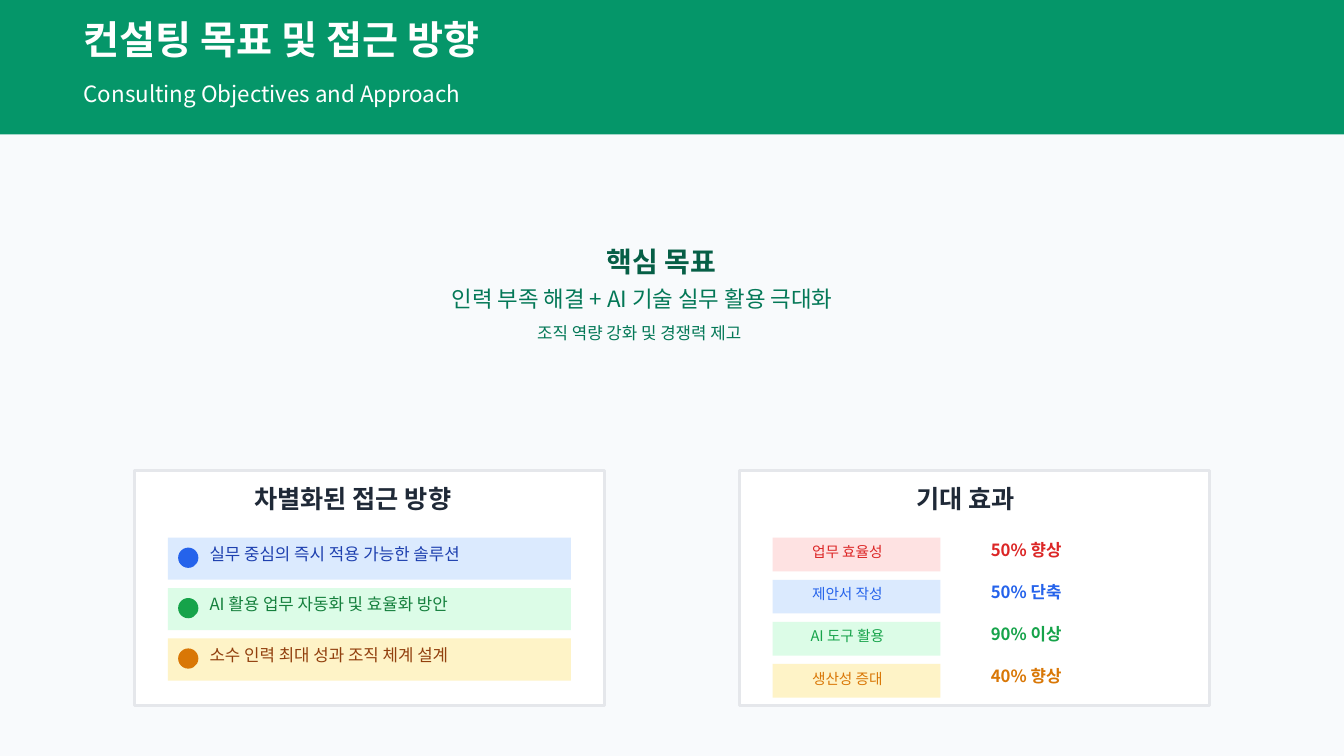
from dataclasses import dataclass

from lxml.etree import SubElement
from pptx import Presentation
from pptx.dml.color import RGBColor
from pptx.enum.shapes import MSO_SHAPE
from pptx.enum.text import MSO_ANCHOR, MSO_AUTO_SIZE, PP_ALIGN
from pptx.oxml.ns import qn
from pptx.util import Cm, Pt


@dataclass(frozen=True)
class Theme:
    font: str = "Noto Sans CJK KR"
    page: str = "F8FAFC"
    header: str = "059669"
    white: str = "FFFFFF"
    border: str = "E5E7EB"
    heading: str = "1F2937"
    goal: str = "065F46"
    goal_detail: str = "047857"
    red: str = "DC2626"
    blue: str = "2563EB"
    green: str = "16A34A"
    amber: str = "D97706"
    pale_red: str = "FEE2E2"
    pale_blue: str = "DBEAFE"
    pale_green: str = "DCFCE7"
    pale_amber: str = "FEF3C7"
    dark_blue: str = "1E40AF"
    dark_green: str = "15803D"
    dark_amber: str = "92400E"
    title_size: float = 28
    goal_size: float = 20
    heading_size: float = 18
    lead_size: float = 16
    body_size: float = 12
    label_size: float = 10.5


THEME = Theme()

APPROACHES = [
    ("실무 중심의 즉시 적용 가능한 솔루션", THEME.pale_blue, THEME.blue, THEME.dark_blue),
    ("AI 활용 업무 자동화 및 효율화 방안", THEME.pale_green, THEME.green, THEME.dark_green),
    ("소수 인력 최대 성과 조직 체계 설계", THEME.pale_amber, THEME.amber, THEME.dark_amber),
]
EFFECTS = [
    ("업무 효율성", "50% 향상", THEME.pale_red, THEME.red),
    ("제안서 작성", "50% 단축", THEME.pale_blue, THEME.blue),
    ("AI 도구 활용", "90% 이상", THEME.pale_green, THEME.green),
    ("생산성 증대", "40% 향상", THEME.pale_amber, THEME.amber),
]


def apply_format(target, values):
    for attribute, value in values.items():
        setattr(target, attribute, value)


def write(holder, lines, size, bold=False, gap=0, align=PP_ALIGN.LEFT, **frame_format):
    frame = holder.text_frame
    apply_format(frame, {
        "word_wrap": True, "auto_size": MSO_AUTO_SIZE.NONE,
        "vertical_anchor": MSO_ANCHOR.TOP,
        "margin_left": 0, "margin_top": Cm(0.13), "margin_right": 0, "margin_bottom": 0,
        **frame_format,
    })
    for index, (wording, color) in enumerate(lines):
        paragraph = frame.add_paragraph() if index else frame.paragraphs[0]
        apply_format(paragraph, {
            "alignment": align, "space_before": Pt(0), "space_after": Pt(gap),
        })
        properties = paragraph._p.get_or_add_pPr()
        properties.set("marL", "0")
        properties.set("indent", "0")
        SubElement(properties, qn("a:buNone"))
        run = paragraph.add_run()
        run.text = wording
        apply_format(run.font, {"name": THEME.font, "size": Pt(size), "bold": bold})
        run.font.color.rgb = RGBColor.from_string(color)
        run.font._element.set("kern", "0")
        SubElement(run.font._element, qn("a:ea"), typeface=THEME.font)


def add_block(slide, kind, left, top, width, height, fill, border=None):
    block = slide.shapes.add_shape(kind, Cm(left), Cm(top), Cm(width), Cm(height))
    block.shadow.inherit = False
    block.fill.solid()
    block.fill.fore_color.rgb = RGBColor.from_string(fill)
    if border:
        block.line.color.rgb = RGBColor.from_string(border)
        block.line.width = Pt(2.4)
    else:
        block.line.fill.background()
    return block


def add_line(slide, left, top, width, wording, size, color, bold=False):
    caption = slide.shapes.add_textbox(Cm(left), Cm(top), Cm(width), Cm(size * 0.06))
    write(caption, [(wording, color)], size, bold)


def fill_placeholder(slide, number, left, top, width, height, lines, size, **text_format):
    holder = slide.placeholders[number]
    apply_format(holder, {
        "left": Cm(left), "top": Cm(top), "width": Cm(width), "height": Cm(height),
    })
    write(holder, lines, size, **text_format)
    holder.element.getparent().append(holder.element)


def add_header(slide):
    add_block(slide, MSO_SHAPE.RECTANGLE, 0, 0, 33.87, 3.39, THEME.header)
    fill_placeholder(slide, 0, 2.11, 0.25, 12, 1.45,
                     [("컨설팅 목표 및 접근 방향", THEME.white)], THEME.title_size, bold=True)
    add_line(slide, 2.11, 1.88, 11, "Consulting Objectives and Approach",
             THEME.lead_size, THEME.white)


def add_goal(slide):
    add_line(slide, 15.29, 6.02, 3.4, "핵심 목표", THEME.goal_size, THEME.goal, True)
    add_line(slide, 11.38, 7.06, 11, "인력 부족 해결 + AI 기술 실무 활용 극대화",
             THEME.lead_size, THEME.goal_detail)
    add_line(slide, 13.54, 8, 6, "조직 역량 강화 및 경쟁력 제고",
             THEME.body_size, THEME.goal_detail)


def add_card(slide, left, heading, heading_left, heading_number):
    add_block(slide, MSO_SHAPE.RECTANGLE, left, 11.85, 11.85, 5.93,
              THEME.white, THEME.border)
    fill_placeholder(slide, heading_number, heading_left, 12.04, 6, 1,
                     [(heading, THEME.heading)], THEME.heading_size, bold=True)


def add_approaches(slide):
    add_card(slide, 3.39, "차별화된 접근 방향", 6.41, 1)
    for index, (_, pale, strong, _) in enumerate(APPROACHES):
        top = 13.55 + index * 1.27
        add_block(slide, MSO_SHAPE.RECTANGLE, 4.23, top, 10.16, 1.06, pale)
        add_block(slide, MSO_SHAPE.OVAL, 4.49, top + 0.25, 0.51, 0.51, strong)
    fill_placeholder(slide, 2, 5.28, 13.57, 9, 3.9,
                     [(wording, dark) for wording, _, _, dark in APPROACHES],
                     THEME.body_size, gap=21.6)


def add_effects(slide):
    add_card(slide, 18.63, "기대 효과", 23.09, 3)
    for index, (label, _, pale, strong) in enumerate(EFFECTS):
        bar = add_block(slide, MSO_SHAPE.RECTANGLE, 19.47, 13.55 + index * 1.06,
                        4.23, 0.85, pale)
        write(bar, [(label, strong)], THEME.label_size, align=PP_ALIGN.CENTER,
              vertical_anchor=MSO_ANCHOR.MIDDLE,
              margin_top=0, margin_right=Cm(0.46), margin_bottom=Cm(0.13))
    fill_placeholder(slide, 4, 24.97, 13.46, 4, 4.2,
                     [(change, strong) for _, change, _, strong in EFFECTS],
                     THEME.body_size, bold=True, gap=15.6)


def main():
    deck = Presentation()
    apply_format(deck, {"slide_width": Cm(33.87), "slide_height": Cm(19.05)})
    slide = deck.slides.add_slide(deck.slide_layouts[4])
    slide.background.fill.solid()
    slide.background.fill.fore_color.rgb = RGBColor.from_string(THEME.page)
    add_header(slide)
    add_goal(slide)
    add_approaches(slide)
    add_effects(slide)
    deck.save("out.pptx")


if __name__ == "__main__":
    main()
